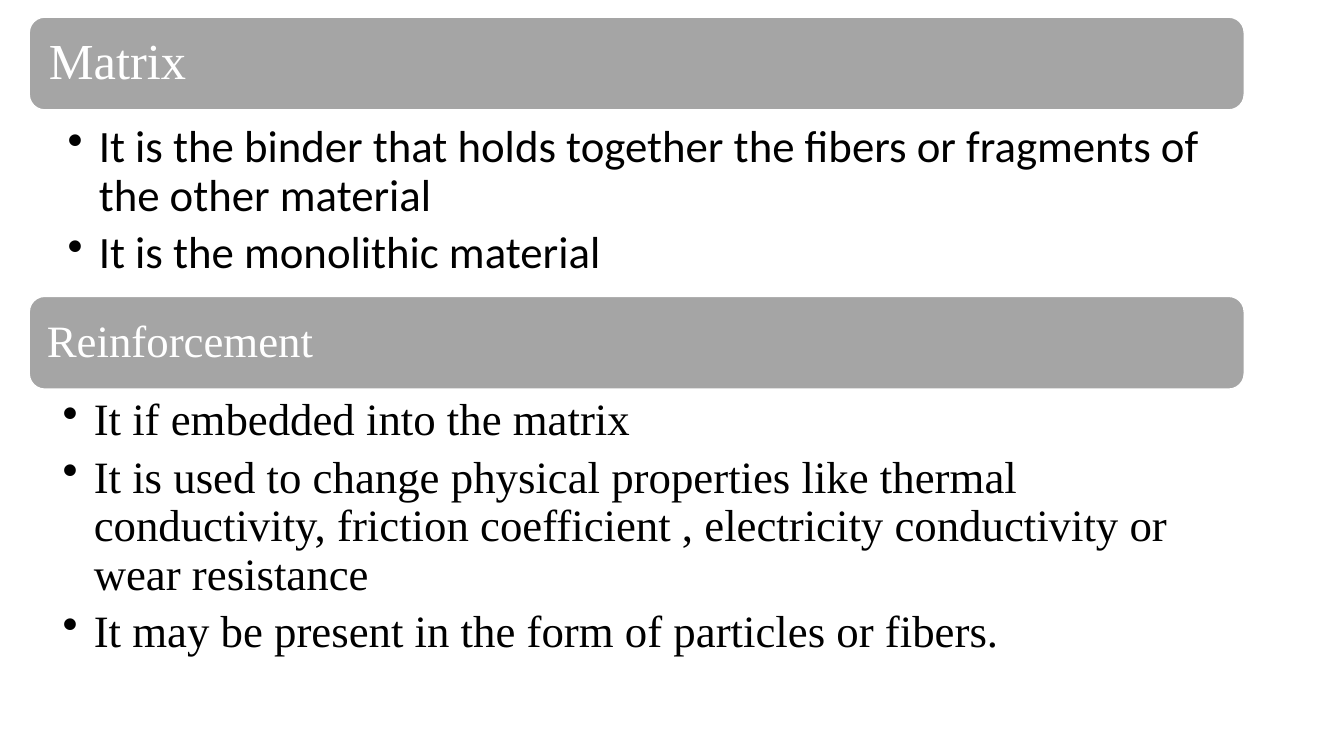
from pptx import Presentation, util as u
from pptx.dml.color import RGBColor
from pptx.enum import shapes, text
from pptx.oxml.ns import qn
from lxml import etree

PX = 9144  # EMU per px, 100 px to the inch
HUES = {"bar": "A5A5A5", "edge": "FFFFFF", "head": "FFFFFF", "body": "000000"}
SERIF, SANS = "Times New Roman", "Calibri"
LEFT, WIDE = 29, 1205
BAR, HANG = 92, 31


class Page:
    def __init__(self, deck):
        self.slide = deck.slides.add_slide(deck.slide_layouts[6])

    def hue(self, name):
        return RGBColor.from_string(HUES[name])

    def place(self, top, high):
        return [n * PX for n in (LEFT, top, WIDE, high)]

    def inset(self, frame, left, top, right, low):
        frame.word_wrap = True
        frame.margin_left, frame.margin_top = left * PX, top * PX
        frame.margin_right, frame.margin_bottom = right * PX, low * PX

    def style(self, para, font, size, hue):
        para.line_spacing = 0.9
        para.font.name, para.font.size = font, u.Pt(size)
        para.font.color.rgb = self.hue(hue)

    def bar(self, top, label, size, pad):
        box = self.slide.shapes.add_shape(
            shapes.MSO_SHAPE.ROUNDED_RECTANGLE, *self.place(top, BAR))
        box.shadow.inherit = False
        box.fill.solid()
        box.fill.fore_color.rgb = self.hue("bar")
        box.line.color.rgb = self.hue("edge")
        box.line.width = u.Pt(1)
        frame = box.text_frame
        self.inset(frame, pad, pad, pad, pad)
        frame.vertical_anchor = text.MSO_ANCHOR.MIDDLE
        frame.text = label
        para = frame.paragraphs[0]
        para.alignment = text.PP_ALIGN.LEFT
        self.style(para, SERIF, size, "head")

    def points(self, top, high, items, font, pad):
        box = self.slide.shapes.add_textbox(*self.place(top, high))
        frame = box.text_frame
        self.inset(frame, pad, 4, 25, 4)
        frame.text = "\n".join(items)
        for para in frame.paragraphs:
            para.level = 1
            prop = para._p.get_or_add_pPr()
            prop.set("marL", str(HANG * PX))
            prop.set("indent", str(-HANG * PX))
            etree.SubElement(prop, qn("a:buChar")).set("char", "•")
            para.space_after = u.Pt(6.4)
            self.style(para, font, 32, "body")


def main():
    deck = Presentation()
    deck.slide_width, deck.slide_height = 1333 * PX, 750 * PX
    page = Page(deck)

    # Matrix
    page.bar(17, "Matrix", 36, 15)
    page.points(119, 173, [
        "It is the binder that holds together the fibers or fragments of "
        "the other material",
        "It is the monolithic material",
    ], SANS, 38)

    # Reinforcement
    page.bar(294, "Reinforcement", 32, 13)
    page.points(390, 360, [
        "It if embedded into the matrix",
        "It is used to change physical properties like thermal conductivity, "
        "friction coefficient , electricity conductivity or wear resistance",
        "It may be present in the form of particles or fibers.",
    ], SERIF, 33)

    deck.save("out.pptx")


if __name__ == "__main__":
    main()
